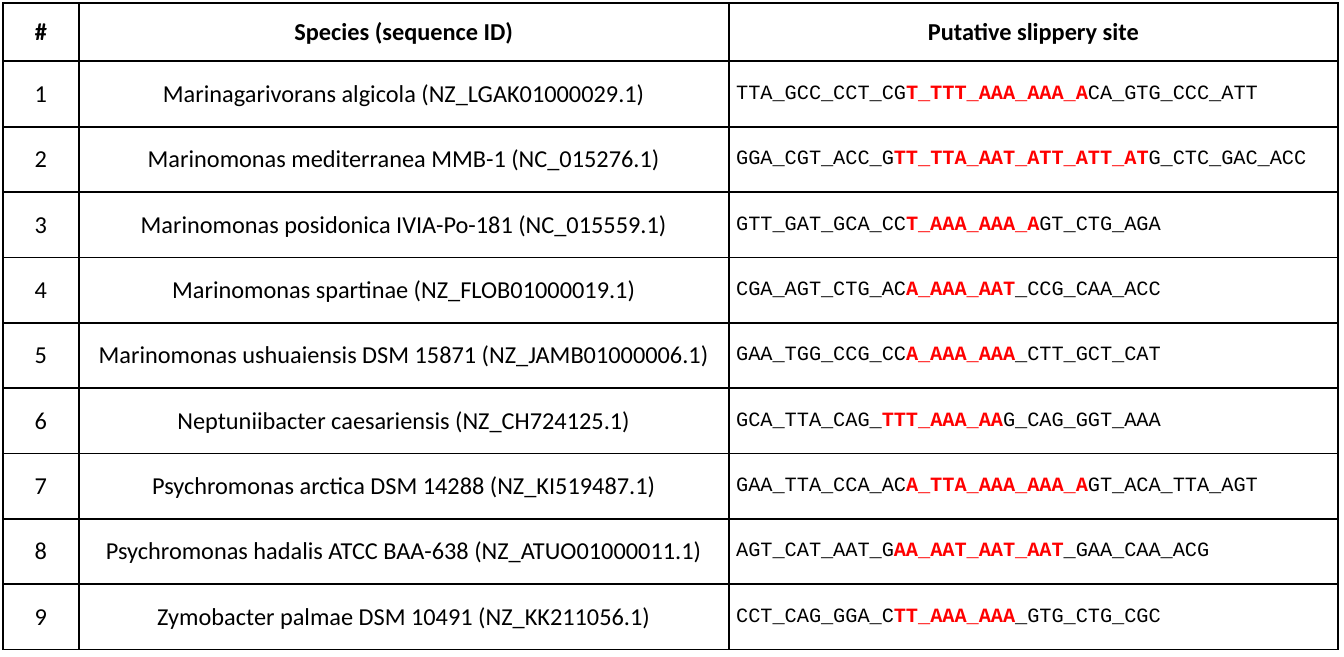
from dataclasses import dataclass

from lxml import etree
from pptx import Presentation
from pptx import util as u
from pptx.dml.color import RGBColor
from pptx.enum import text
from pptx.oxml.ns import qn

HEADERS = ("#", "Species (sequence ID)", "Putative slippery site")
# species, then the sequence before, inside and after the slippery site
SPECIES = [
    ("Marinagarivorans algicola (NZ_LGAK01000029.1)",
     ("TTA_GCC_CCT_CG", "T_TTT_AAA_AAA_A", "CA_GTG_CCC_ATT")),
    ("Marinomonas mediterranea MMB-1 (NC_015276.1)",
     ("GGA_CGT_ACC_G", "TT_TTA_AAT_ATT_ATT_AT", "G_CTC_GAC_ACC")),
    ("Marinomonas posidonica IVIA-Po-181 (NC_015559.1)",
     ("GTT_GAT_GCA_CC", "T_AAA_AAA_A", "GT_CTG_AGA")),
    ("Marinomonas spartinae (NZ_FLOB01000019.1)",
     ("CGA_AGT_CTG_AC", "A_AAA_AAT", "_CCG_CAA_ACC")),
    ("Marinomonas ushuaiensis DSM 15871 (NZ_JAMB01000006.1)",
     ("GAA_TGG_CCG_CC", "A_AAA_AAA", "_CTT_GCT_CAT")),
    ("Neptuniibacter caesariensis (NZ_CH724125.1)",
     ("GCA_TTA_CAG_", "TTT_AAA_AA", "G_CAG_GGT_AAA")),
    ("Psychromonas arctica DSM 14288 (NZ_KI519487.1)",
     ("GAA_TTA_CCA_AC", "A_TTA_AAA_AAA_A", "GT_ACA_TTA_AGT")),
    ("Psychromonas hadalis ATCC BAA-638 (NZ_ATUO01000011.1)",
     ("AGT_CAT_AAT_G", "AA_AAT_AAT_AAT", "_GAA_CAA_ACG")),
    ("Zymobacter palmae DSM 10491 (NZ_KK211056.1)",
     ("CCT_CAG_GGA_C", "TT_AAA_AAA", "_GTG_CTG_CGC")),
]
COLUMN_WIDTHS = (0.52, 4.45, 4.17)
LEFT = TOP = 0.02
TABLE_HEIGHT, HEADER_HEIGHT = 4.43, 0.4


@dataclass(frozen=True)
class Theme:
    """Colours, fonts and sizes of the slide."""
    ink: str = "000000"
    site: str = "FF0000"
    paper: str = "FFFFFF"
    body_font: str = "Calibri"
    body_size: int = 12
    code_font: str = "Courier New"
    code_size: int = 10
    border: float = 1
    inset: float = 0.05


THEME = Theme()


def style_cell(cell):
    """Give a cell its fill, margins, anchor and four borders."""
    cell.margin_left = cell.margin_right = u.Inches(THEME.inset)
    cell.margin_top = cell.margin_bottom = u.Inches(THEME.inset)
    cell.vertical_anchor = text.MSO_ANCHOR.MIDDLE
    props = cell._tc.get_or_add_tcPr()
    for side in ("lnL", "lnR", "lnT", "lnB"):
        line = etree.SubElement(props, qn(f"a:{side}"), w=str(u.Pt(THEME.border)))
        fill = etree.SubElement(line, qn("a:solidFill"))
        etree.SubElement(fill, qn("a:srgbClr"), val=THEME.ink)
    cell.fill.solid()
    cell.fill.fore_color.rgb = RGBColor.from_string(THEME.paper)


def add_run(p, words, font, size, color=THEME.ink, bold=False):
    """Add one formatted run to a paragraph."""
    r = p.add_run()
    r.text = words
    r.font.name, r.font.size, r.font.bold = font, u.Pt(size), bold
    r.font.color.rgb = RGBColor.from_string(color)


def write_label(cell, words, bold=False):
    """Write centred body text in a cell."""
    p = cell.text_frame.paragraphs[0]
    p.alignment = text.PP_ALIGN.CENTER
    add_run(p, words, THEME.body_font, THEME.body_size, bold=bold)


def write_sequence(cell, sequence):
    """Write a sequence with its slippery site in bold red."""
    p = cell.text_frame.paragraphs[0]
    p.alignment = text.PP_ALIGN.LEFT
    before, site, after = sequence
    code = (THEME.code_font, THEME.code_size)
    add_run(p, before, *code)
    add_run(p, site, *code, color=THEME.site, bold=True)
    add_run(p, after, *code)


def add_species_table(s):
    """Add the table of species and their slippery sites."""
    frame = s.shapes.add_table(
        len(SPECIES) + 1, len(HEADERS), u.Inches(LEFT), u.Inches(TOP),
        u.Inches(sum(COLUMN_WIDTHS)), u.Inches(TABLE_HEIGHT))
    table = frame.table
    table.horz_banding = False
    for column, width in zip(table.columns, COLUMN_WIDTHS):
        column.width = u.Inches(width)
    body_height = (TABLE_HEIGHT - HEADER_HEIGHT) / len(SPECIES)
    for i, row in enumerate(table.rows):
        row.height = u.Inches(body_height if i else HEADER_HEIGHT)
    for cell in table.iter_cells():
        style_cell(cell)
    for col, header in enumerate(HEADERS):
        write_label(table.cell(0, col), header, bold=True)
    for number, (species, sequence) in enumerate(SPECIES, 1):
        write_label(table.cell(number, 0), str(number))
        write_label(table.cell(number, 1), species)
        write_sequence(table.cell(number, 2), sequence)


prs = Presentation()
prs.slide_width, prs.slide_height = u.Inches(9.2), u.Inches(4.5)
s = prs.slides.add_slide(prs.slide_layouts.get_by_name("Blank"))
add_species_table(s)
prs.save("out.pptx")
